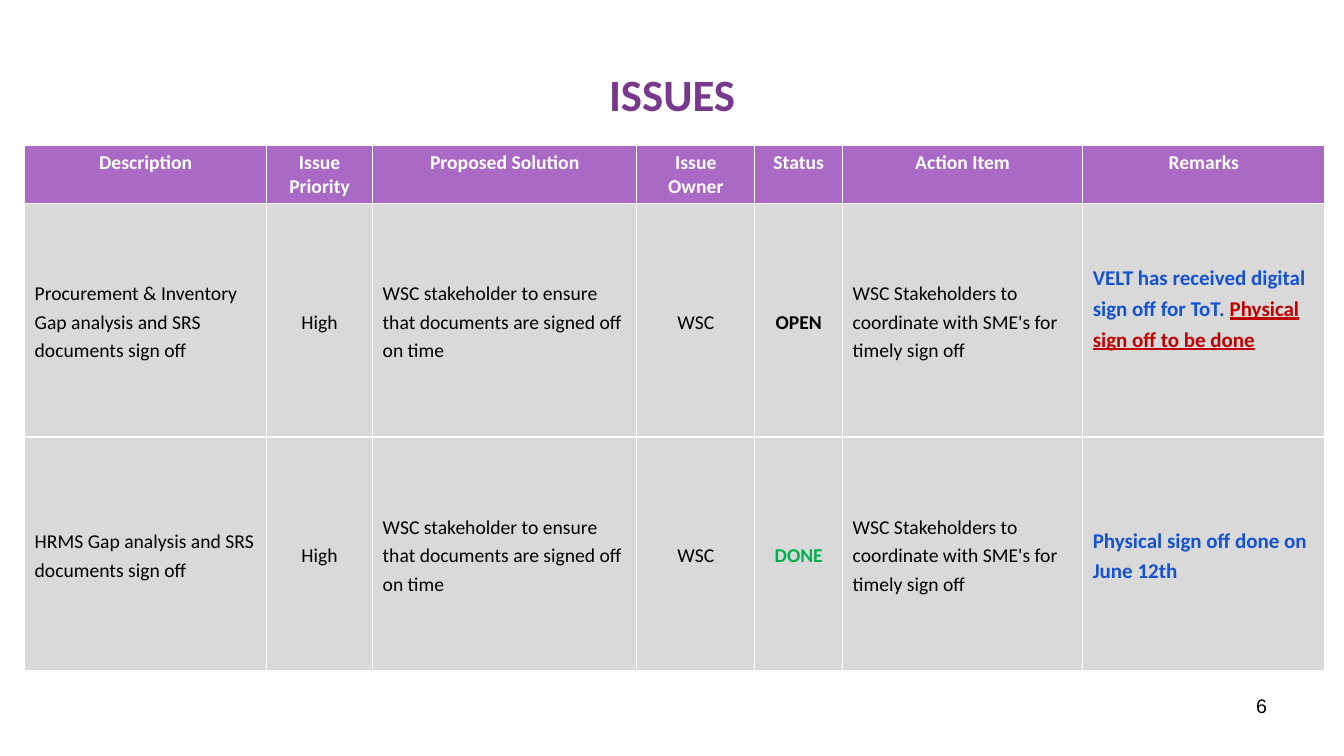
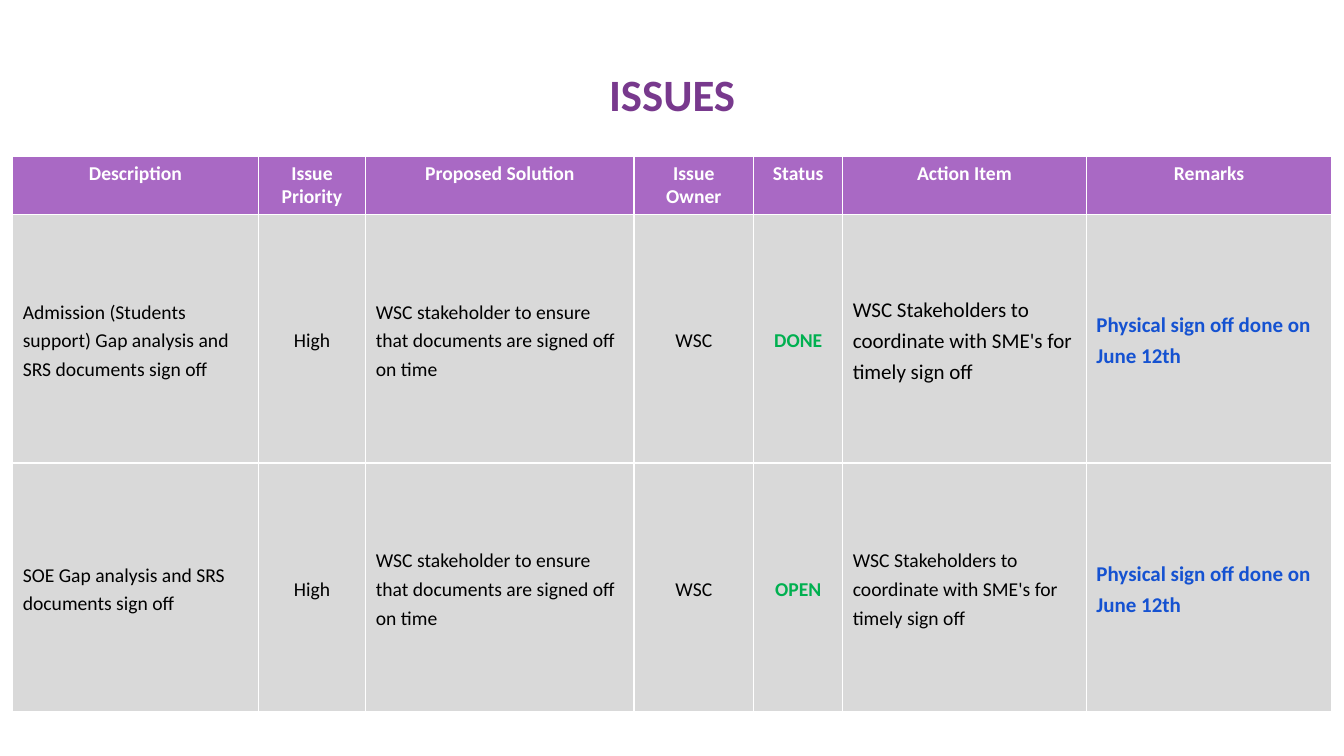
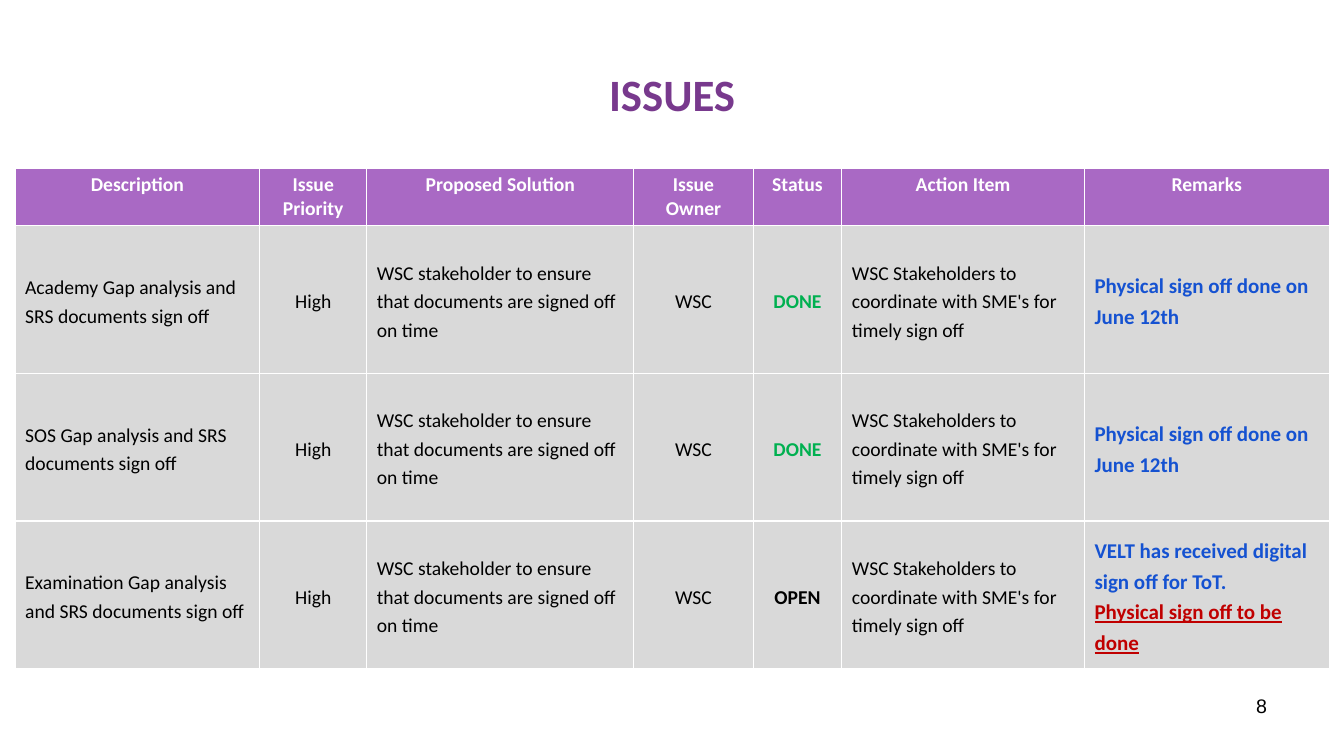
"""Build three slides of an issue log with python-pptx."""
from typing import NamedTuple

from lxml import etree
from pptx import Presentation
from pptx.dml.color import RGBColor
from pptx.enum.text import MSO_ANCHOR, PP_ALIGN
from pptx.oxml.ns import qn
from pptx.util import Cm, Pt

LEFT, CENTER, RIGHT = PP_ALIGN.LEFT, PP_ALIGN.CENTER, PP_ALIGN.RIGHT
TOP, MIDDLE = MSO_ANCHOR.TOP, MSO_ANCHOR.MIDDLE
TITLE_ONLY = 5

COLORS = {
    "title": "78398D", "header": "A969C4", "body": "D9D9D9", "white": "FFFFFF",
    "black": "000000", "blue": "1552D1", "red": "C00000", "green": "00B050",
}
STYLES = {
    "title": {"name": "Calibri", "size": Pt(32), "bold": True, "color": "title"},
    "number": {"name": "Arial", "size": Pt(14), "bold": False, "color": "black"},
    "header": {"name": "Calibri", "size": Pt(14), "bold": True, "color": "white"},
    "plain": {"name": "Calibri", "size": Pt(14), "bold": False, "color": "black"},
    "large": {"name": "Calibri", "size": Pt(15), "bold": False, "color": "black"},
    "open": {"name": "Calibri", "size": Pt(14), "bold": True, "color": "black"},
    "done": {"name": "Calibri", "size": Pt(14), "bold": True, "color": "green"},
    "remark": {"name": "Calibri", "size": Pt(15), "bold": True, "color": "blue"},
    "pending": {"name": "Calibri", "size": Pt(15), "bold": True, "color": "red",
                "underline": True},
}
HEADERS = ["Description", "Issue Priority", "Proposed Solution", "Issue Owner",
           "Status", "Action Item", "Remarks"]
COLUMN_WEIGHTS = [2.4, 1.05, 2.62, 1.17, 0.87, 2.38, 2.4]
COLUMN_ALIGNS = [LEFT, CENTER, LEFT, CENTER, CENTER, LEFT, LEFT]
HEADER_HEIGHT = 1.45

SOLUTION = "WSC stakeholder to ensure that documents are signed off on time"
ACTION = "WSC Stakeholders to coordinate with SME's for timely sign off"
PENDING = ("Physical sign off to be done", "pending")
SIGNED = [[("Physical sign off done on June 12th", "remark")]]
DIGITAL_INLINE = [[("VELT has received digital sign off for ToT. ", "remark"), PENDING]]
DIGITAL_SPLIT = [[("VELT has received digital sign off for ToT.", "remark")], [PENDING]]


class Issue(NamedTuple):
    """One row of the issue log."""
    area: str
    status: str = "DONE"
    status_style: str = "done"
    remarks: list = SIGNED
    action_style: str = "plain"
    remarks_bottom: float = 0.13


class Page(NamedTuple):
    """Table geometry in centimetres, rows and page number of one slide."""
    left: float
    top: float
    width: float
    row_height: float
    issues: list
    number: str = ""


PAGES = [
    Page(0.62, 3.67, 32.77, 5.89, [
        Issue("Procurement & Inventory", "OPEN", "open", DIGITAL_INLINE,
              remarks_bottom=0.8),
        Issue("HRMS"),
    ], "6"),
    Page(0.32, 3.94, 33.25, 6.27, [
        Issue("Admission (Students support)", action_style="large"),
        Issue("SOE", "OPEN"),
    ]),
    Page(0.38, 4.24, 33.12, 3.72, [
        Issue("Academy"),
        Issue("SOS"),
        Issue("Examination", "OPEN", "open", DIGITAL_SPLIT),
    ], "8"),
]


def rgb(key):
    """Return the named colour."""
    return RGBColor.from_string(COLORS[key])


def write(tf, paragraphs, align, spacing=1.0):
    """Fill a text frame with paragraphs of (text, style) runs."""
    for i, runs in enumerate(paragraphs):
        p = tf.paragraphs[0] if i == 0 else tf.add_paragraph()
        p.alignment, p.line_spacing = align, spacing
        for text, style in runs:
            r = p.add_run()
            r.text = text
            for key, value in STYLES[style].items():
                if key == "color":
                    r.font.color.rgb = rgb(value)
                else:
                    setattr(r.font, key, value)


def place(sp, left, top, width, height):
    """Move and size a shape in centimetres."""
    sp.left, sp.top, sp.width, sp.height = map(Cm, (left, top, width, height))


def add_title(s, text):
    """Fill and format the title placeholder."""
    sp = s.shapes.title
    place(sp, 1.7, 0.76, 30.48, 3.18)
    sp.text_frame.vertical_anchor = MIDDLE
    write(sp.text_frame, [[(text, "title")]], CENTER)


def add_number(s, number):
    """Add the page number at the lower right."""
    sp = s.shapes.add_textbox(Cm(24.28), Cm(17.35), Cm(7.9), Cm(1.32))
    sp.text_frame.word_wrap = True
    write(sp.text_frame, [[(number, "number")]], RIGHT)


def add_borders(cell):
    """Draw a white line on each side of a cell."""
    tc_pr = cell._tc.get_or_add_tcPr()
    for side in ("a:lnL", "a:lnR", "a:lnT", "a:lnB"):
        ln = etree.SubElement(tc_pr, qn(side), w=str(Pt(1)))
        fill = etree.SubElement(ln, qn("a:solidFill"))
        etree.SubElement(fill, qn("a:srgbClr"), val=COLORS["white"])


def fill_cell(cell, paragraphs, fill, align, anchor, spacing):
    """Write and format one table cell."""
    add_borders(cell)
    cell.fill.solid()
    cell.fill.fore_color.rgb = rgb(fill)
    cell.vertical_anchor = anchor
    write(cell.text_frame, paragraphs, align, spacing)


def issue_cells(issue):
    """Return the cell contents of one issue."""
    texts = [
        (f"{issue.area} Gap analysis and SRS documents sign off", "plain"),
        ("High", "plain"),
        (SOLUTION, "plain"),
        ("WSC", "plain"),
        (issue.status, issue.status_style),
        (ACTION, issue.action_style),
    ]
    return [[[run]] for run in texts] + [issue.remarks]


def add_issue_table(s, page):
    """Add the issue table with scaled columns and equal body rows."""
    height = HEADER_HEIGHT + page.row_height * len(page.issues)
    table = s.shapes.add_table(
        len(page.issues) + 1, len(HEADERS),
        Cm(page.left), Cm(page.top), Cm(page.width), Cm(height)).table
    for column, weight in zip(table.columns, COLUMN_WEIGHTS):
        column.width = Cm(page.width * weight / sum(COLUMN_WEIGHTS))
    table.rows[0].height = Cm(HEADER_HEIGHT)
    for col, text in enumerate(HEADERS):
        fill_cell(table.cell(0, col), [[(text, "header")]], "header", CENTER, TOP, 1.0)
    for row, issue in enumerate(page.issues, 1):
        table.rows[row].height = Cm(page.row_height)
        for col, paragraphs in enumerate(issue_cells(issue)):
            fill_cell(table.cell(row, col), paragraphs, "body",
                      COLUMN_ALIGNS[col], MIDDLE, 1.2)
        table.cell(row, len(HEADERS) - 1).margin_bottom = Cm(issue.remarks_bottom)


def main():
    """Build and save the presentation."""
    prs = Presentation()
    prs.slide_width, prs.slide_height = Cm(33.87), Cm(19.05)
    for page in PAGES:
        s = prs.slides.add_slide(prs.slide_layouts[TITLE_ONLY])
        add_title(s, "ISSUES")
        if page.number:
            add_number(s, page.number)
        add_issue_table(s, page)
    prs.save("out.pptx")


if __name__ == "__main__":
    main()
